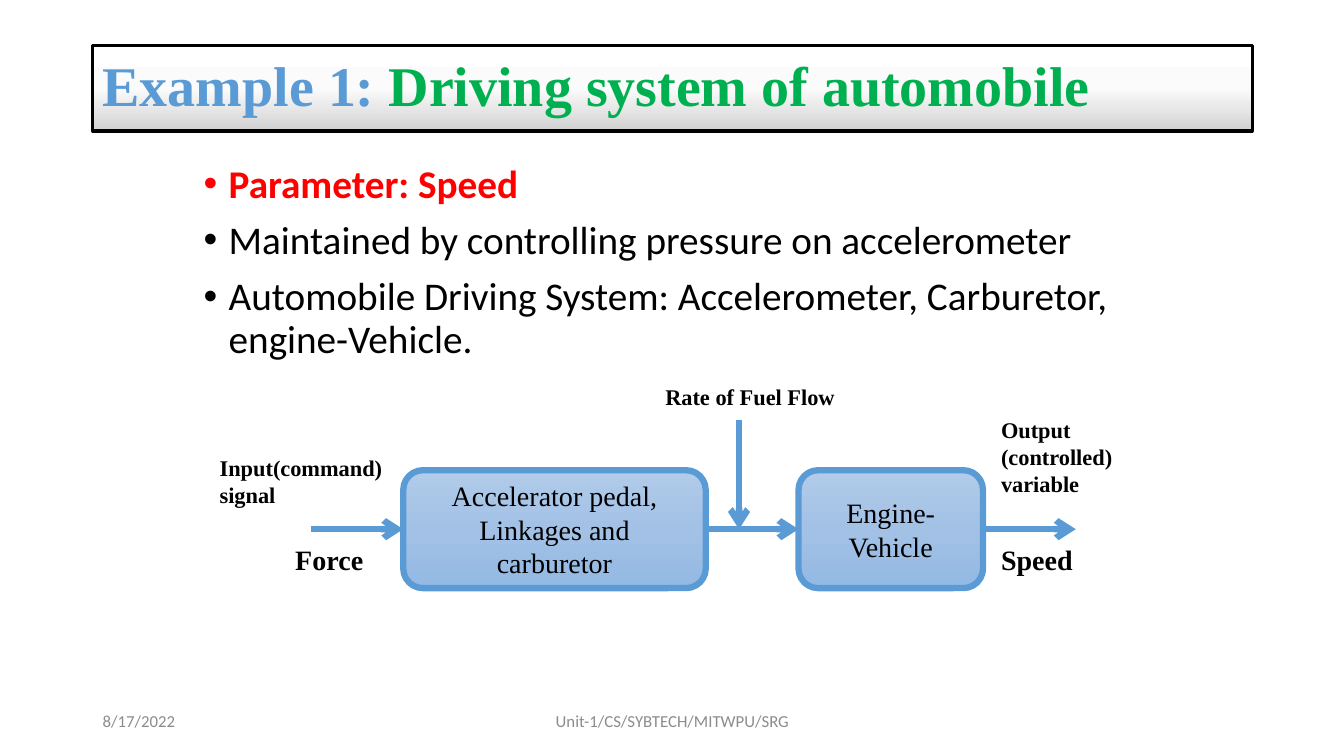
from copy import deepcopy

from pptx import Presentation
from pptx.dml.color import RGBColor
from pptx.enum.shapes import MSO_CONNECTOR as LINK, MSO_SHAPE as FORM
from pptx.enum.text import MSO_ANCHOR as ANCHOR, PP_ALIGN as ALIGN
from pptx.oxml import parse_xml
from pptx.oxml.ns import nsdecls, qn
from pptx.util import Inches, Pt

SERIF, SANS = "Times New Roman", "Calibri"
BLUE, BLACK, GREY = "5B9BD5", "000000", "8C8C8C"
SOFT = ["B1CBE9", "A3C1E5", "93B9E4"]
SHEEN = ["FFFFFF", "FBFBFB", "D1D1D1"]


def color(code):
    """Turn a hex string into a colour."""
    return RGBColor.from_string(code)


def apply(item, values):
    """Set each named attribute on an item."""
    for name, value in values.items():
        setattr(item, name, value)


def write(para, text, size, face, code, bold=False):
    """Add one styled run to a paragraph."""
    run = para.add_run()
    run.text = text
    apply(run.font, {"size": Pt(size), "name": face, "bold": bold})
    run.font.color.rgb = color(code)


def label(slide, box, text, size, face=SERIF, code=BLACK, bold=True,
          align=ALIGN.LEFT, anchor=ANCHOR.TOP):
    """Place a text box with one paragraph."""
    frame = slide.shapes.add_textbox(*map(Inches, box)).text_frame
    apply(frame, {"word_wrap": True, "vertical_anchor": anchor})
    para = frame.paragraphs[0]
    para.alignment = align
    write(para, text, size, face, code, bold)


def panel(slide, form, box, tints, edge, width, align):
    """Draw a shaded, outlined shape and return its paragraph."""
    shape = slide.shapes.add_shape(form, *map(Inches, box))
    shape.shadow.inherit = False
    fill = shape.fill
    fill.gradient()
    fill.gradient_angle = 270
    stops = shape._element.spPr.find(qn("a:gradFill")).find(qn("a:gsLst"))
    stops.insert(1, deepcopy(stops[0]))
    for stop, tint, place in zip(fill.gradient_stops, tints, (0, 0.5, 1)):
        stop.color.rgb = color(tint)
        stop.position = place
    shape.line.color.rgb = color(edge)
    shape.line.width = Pt(width)
    frame = shape.text_frame
    apply(frame, {"word_wrap": True, "vertical_anchor": ANCHOR.MIDDLE})
    para = frame.paragraphs[0]
    para.alignment = align
    return para


def arrow(slide, start, end):
    """Draw a blue arrow between two points."""
    line = slide.shapes.add_connector(LINK.STRAIGHT, *map(Inches, start + end))
    line.line.color.rgb = color(BLUE)
    line.line.width = Pt(4.5)
    line.line._get_or_add_ln().append(
        parse_xml(f'<a:tailEnd {nsdecls("a")} type="arrow"/>'))
    line._element.spPr.append(parse_xml(f'<a:effectLst {nsdecls("a")}/>'))


def title(slide, box):
    """Place the framed two-colour title."""
    para = panel(slide, FORM.RECTANGLE, box, SHEEN, BLACK, 2.25, ALIGN.LEFT)
    para.line_spacing = 0.9
    write(para, "Example 1: ", 40, SERIF, BLUE, True)
    write(para, "Driving system of automobile", 40, SERIF, "00B050", True)


def points(slide, box):
    """Place the bulleted list."""
    frame = slide.shapes.add_textbox(*map(Inches, box)).text_frame
    frame.word_wrap = True
    items = [
        ("Parameter: Speed", "FF0000", True),
        ("Maintained by controlling pressure on accelerometer", BLACK, False),
        ("Automobile Driving System: Accelerometer, Carburetor, "
         "engine-Vehicle.", BLACK, False),
    ]
    for i, (text, code, bold) in enumerate(items):
        para = frame.add_paragraph() if i else frame.paragraphs[0]
        apply(para, {"line_spacing": 0.9, "space_before": Pt(10 if i else 0)})
        props = para._p.get_or_add_pPr()
        props.set("marL", str(Inches(0.25)))
        props.set("indent", str(-Inches(0.25)))
        for tag in ('buFont {} typeface="Arial"', 'buChar {} char="•"'):
            props.append(parse_xml(f'<a:{tag.format(nsdecls("a"))}/>'))
        write(para, text, 28, SANS, code, bold)


def diagram(slide, box):
    """Place the block diagram with its arrows and labels."""
    left, top, wide, _ = box
    tall, gap = 1.17, 0.92
    mid = top + 1.5
    blocks = [("Accelerator pedal, Linkages and carburetor", 1.92, 3),
              ("Engine- Vehicle", 5.84, 1.83)]
    for text, x, width in blocks:
        area = (left + x, mid - tall / 2, width, tall)
        para = panel(slide, FORM.ROUNDED_RECTANGLE, area, SOFT, BLUE, 4.5,
                     ALIGN.CENTER)
        write(para, text, 20, SERIF, BLACK)
        arrow(slide, (left + x - gap, mid), (left + x, mid))
    exit_x = left + x + width
    arrow(slide, (exit_x, mid), (exit_x + gap, mid))
    arrow(slide, (left + 5.25, top + 0.42), (left + 5.25, mid))
    notes = [
        ("Input(command) signal", 16, 0, 0.71, 1.83, 0.64),
        ("Force", 20, 0.75, 1.58, 1, 0.44),
        ("Rate of Fuel Flow", 16, 4.42, 0, 2.08, 0.37),
        ("Output (controlled) variable", 16, 7.75, 0.33, wide - 7.75, 0.91),
        ("Speed", 20, 7.75, 1.58, 0.92, 0.44),
    ]
    for text, size, x, y, width, height in notes:
        label(slide, (left + x, top + y, width, height), text, size)


def footer(slide, box):
    """Place the date and the course line."""
    left, top, _, tall = box
    parts = [("8/17/2022", 0, 3, ALIGN.LEFT),
             ("Unit-1/CS/SYBTECH/MITWPU/SRG", 3.5, 4.5, ALIGN.CENTER)]
    for text, x, width, align in parts:
        label(slide, (left + x, top, width, tall), text, 12, SANS, GREY,
              False, align, ANCHOR.MIDDLE)


def main():
    """Build and save the slide."""
    deck = Presentation()
    apply(deck, {"slide_width": Inches(13.33), "slide_height": Inches(7.5)})
    slide = deck.slides.add_slide(deck.slide_layouts[6])
    points(slide, (1.92, 1.58, 9.25, 5))
    footer(slide, (0.92, 6.95, 11.5, 0.4))
    diagram(slide, (2.08, 3.75, 9.33, 2.35))
    title(slide, (0.92, 0.45, 11.5, 0.85))
    deck.save("out.pptx")


if __name__ == "__main__":
    main()
